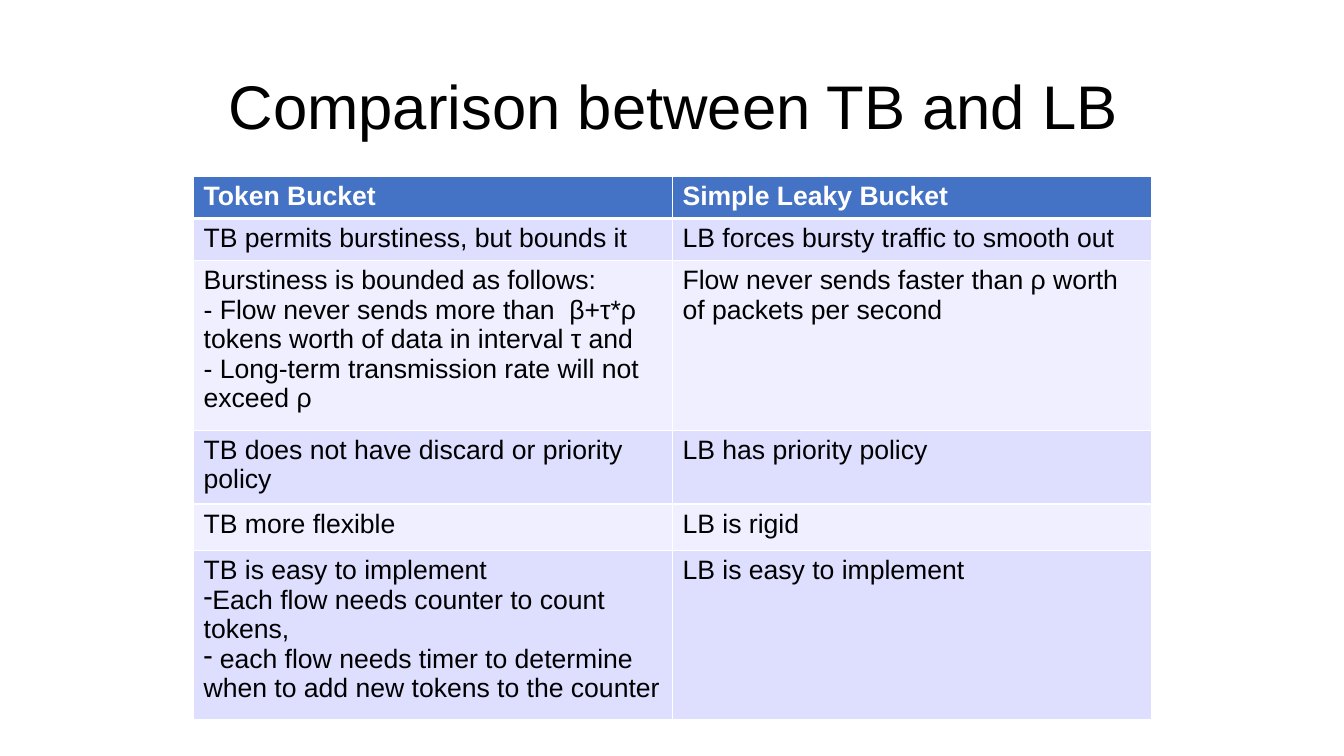
from lxml import etree
from pptx import Presentation
from pptx.dml.color import RGBColor
from pptx.enum.text import MSO_ANCHOR, PP_ALIGN
from pptx.oxml.ns import qn
from pptx.util import Inches, Pt

MIDDLE = MSO_ANCHOR.MIDDLE
TOP = MSO_ANCHOR.TOP
LEFT = PP_ALIGN.LEFT

BLACK = RGBColor(0x00, 0x00, 0x00)
WHITE = RGBColor(0xFF, 0xFF, 0xFF)
HEADER_BLUE = RGBColor(0x44, 0x72, 0xC4)
BAND_DARK = RGBColor(0xDE, 0xDE, 0xFF)
BAND_LIGHT = RGBColor(0xEF, 0xEF, 0xFF)

FONT = "Arial"
BULLET = "•"  # marks a paragraph that gets a dash bullet

ROW_HEIGHTS = [0.41, 0.41, 1.66, 0.72, 0.46, 1.66]
COMPARISON = [
    (["Token Bucket"], ["Simple Leaky Bucket"]),
    (["TB permits burstiness, but bounds it"],
     ["LB forces bursty traffic to smooth out"]),
    (["Burstiness is bounded as follows:",
      "- Flow never sends more than  β+τ*ρ tokens worth of data in interval τ and",
      "- Long-term transmission rate will not exceed ρ"],
     ["Flow never sends faster than ρ worth of packets per second"]),
    (["TB does not have discard or priority policy"],
     ["LB has priority policy"]),
    (["TB more flexible"], ["LB is rigid"]),
    (["TB is easy to implement",
      BULLET + "Each flow needs counter to count tokens,",
      BULLET + " each flow needs timer to determine when to add new tokens to the counter"],
     ["LB is easy to implement"]),
]


def add_dash_bullet(paragraph):
    properties = paragraph._p.get_or_add_pPr()
    properties.set("marL", "0")
    properties.set("indent", "0")
    etree.SubElement(properties, qn("a:buChar")).set("char", "-")


def write_text(frame, lines, size, color=BLACK, bold=False, spacing=None):
    frame.word_wrap = True
    for index, line in enumerate(lines):
        paragraph = frame.paragraphs[0] if index == 0 else frame.add_paragraph()
        paragraph.alignment = LEFT
        if spacing:
            paragraph.line_spacing = spacing
        if line.startswith(BULLET):
            add_dash_bullet(paragraph)
        run = paragraph.add_run()
        run.text = line.removeprefix(BULLET)
        run.font.name = FONT
        run.font.size = Pt(size)
        run.font.bold = bold
        run.font.color.rgb = color


def set_borders(cell, **widths):
    """Draw white cell borders; widths in points, keyed L, R, T and B."""
    properties = cell._tc.get_or_add_tcPr()
    for position, (side, width) in enumerate(widths.items()):
        line = etree.Element(qn(f"a:ln{side}"), w=str(Pt(width)))
        fill = etree.SubElement(line, qn("a:solidFill"))
        etree.SubElement(fill, qn("a:srgbClr")).set("val", str(WHITE))
        properties.insert(position, line)


def add_title(slide, left, top, width, height):
    title = slide.shapes.add_textbox(
        Inches(left), Inches(top), Inches(width), Inches(height))
    title.text_frame.vertical_anchor = MIDDLE
    write_text(title.text_frame, ["Comparison between TB and LB"], 44, spacing=0.9)


def add_comparison(slide, left, top, width):
    columns = len(COMPARISON[0])
    table = slide.shapes.add_table(
        len(COMPARISON), columns, Inches(left), Inches(top),
        Inches(width), Inches(sum(ROW_HEIGHTS))).table
    for column in table.columns:
        column.width = Inches(width / columns)
    for row, (height, entries) in enumerate(zip(ROW_HEIGHTS, COMPARISON)):
        table.rows[row].height = Inches(height)
        is_header = row == 0
        band = BAND_DARK if row % 2 else BAND_LIGHT
        for column, lines in enumerate(entries):
            cell = table.cell(row, column)
            cell.vertical_anchor = TOP
            cell.fill.solid()
            cell.fill.fore_color.rgb = HEADER_BLUE if is_header else band
            set_borders(cell, L=1, R=1, T=3 if row == 1 else 1,
                        B=3 if is_header else 1)
            write_text(cell.text_frame, lines, 19, bold=is_header,
                       color=WHITE if is_header else BLACK)


def main():
    presentation = Presentation()
    presentation.slide_width = Inches(13.33)
    presentation.slide_height = Inches(7.5)
    slide = presentation.slides.add_slide(presentation.slide_layouts[6])
    add_title(slide, 2.17, 0.5, 9.5, 1.17)
    add_comparison(slide, 1.92, 1.75, 9.5)
    presentation.save("out.pptx")


if __name__ == "__main__":
    main()
